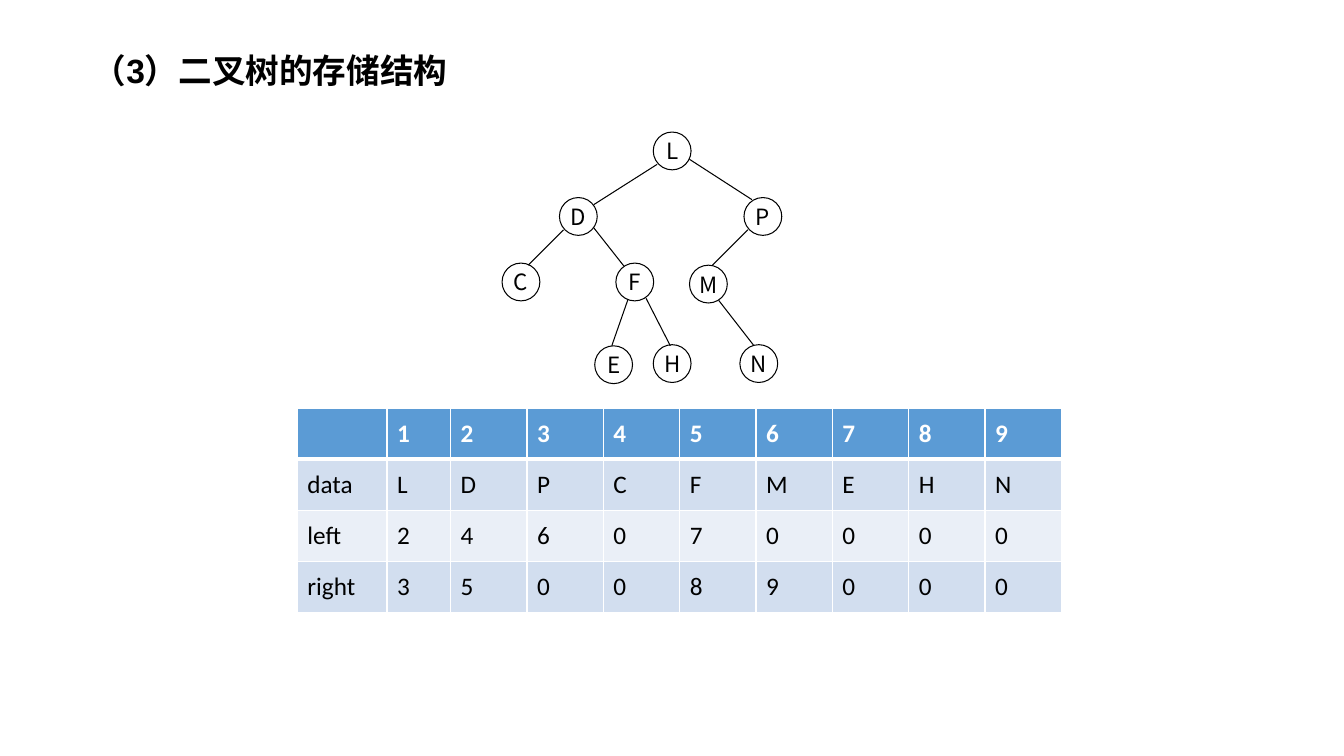
from dataclasses import dataclass

from lxml import etree
from pptx import Presentation
from pptx.dml.color import RGBColor
from pptx.enum.shapes import MSO_CONNECTOR, MSO_SHAPE
from pptx.enum.text import MSO_ANCHOR, MSO_AUTO_SIZE, PP_ALIGN
from pptx.oxml.ns import qn
from pptx.util import Pt

LEFT, CENTER = PP_ALIGN.LEFT, PP_ALIGN.CENTER
TOP, MIDDLE = MSO_ANCHOR.TOP, MSO_ANCHOR.MIDDLE
NO_AUTOFIT = MSO_AUTO_SIZE.NONE
ELLIPSE, STRAIGHT = MSO_SHAPE.OVAL, MSO_CONNECTOR.STRAIGHT
TITLE_ONLY = 5


@dataclass(frozen=True)
class Theme:
    ink: str = "000000"
    paper: str = "FFFFFF"
    header: str = "5B9BD5"
    bands: tuple = ("D2DEEF", "EAEFF7")
    title_font: str = "Arial"
    table_font: str = "Calibri"
    cjk_font: str = "Noto Sans CJK SC"
    title_size: float = 24
    node_size: float = 16
    table_size: float = 18
    line: float = 0.75
    border: float = 1
    header_rule: float = 3


THEME = Theme()

NODE_SIZE = 27
NODES = {
    "L": (466.6, 94.3),
    "D": (399.6, 141.1), "P": (531.4, 141.1),
    "C": (358.6, 187.9), "F": (439.9, 187.9), "M": (492.5, 189.4),
    "E": (424.8, 247), "H": (466.6, 246.2), "N": (528.5, 246.2),
}
# Each edge runs from the rim of the parent to the rim of the child.
EDGES = [
    (469.4, 117.4, 424.1, 146.2),
    (492.5, 113.8, 537.1, 142.6),
    (402.5, 164.2, 377.3, 189.4),
    (448.6, 213.8, 437, 247),
    (424.1, 162.7, 445.7, 190.1),
    (534.2, 164.2, 509, 189.4),
    (461.5, 213.1, 478.8, 247),
    (513.4, 214.6, 538.6, 247),
]

TABLE_LEFT, TABLE_TOP, ROW_HEIGHT = 212.4, 291.6, 36.5
COLUMN_WIDTHS = [64.1, 45.4] + [54.54] * 8
ROWS = [
    ["", *"123456789"],
    ["data", *"LDPCFMEHN"],
    ["left", *"246070000"],
    ["right", *"350089000"],
]


def rgb(color):
    return RGBColor.from_string(color)


def write(tf, text, font, size, color=THEME.ink, bold=False, align=LEFT):
    p = tf.paragraphs[0]
    p.alignment = align
    r = p.add_run()
    r.text = text
    r.font.name = font
    r.font.size = Pt(size)
    r.font.bold = bold
    r.font.color.rgb = rgb(color)
    ea = etree.SubElement(r.font._element, qn("a:ea"))
    ea.set("typeface", THEME.cjk_font)
    return p


def set_title(s, text):
    title = s.shapes.title
    title.left, title.top, title.width, title.height = Pt(59), Pt(35.3), Pt(828), Pt(42)
    tf = title.text_frame
    tf.auto_size = NO_AUTOFIT
    tf.vertical_anchor = TOP
    p = write(tf, text, THEME.title_font, THEME.title_size, bold=True)
    p.line_spacing = 0.9


def add_node(shapes, label, x, y):
    sp = shapes.add_shape(ELLIPSE, Pt(x), Pt(y), Pt(NODE_SIZE), Pt(NODE_SIZE))
    sp.shadow.inherit = False
    sp.fill.solid()
    sp.fill.fore_color.rgb = rgb(THEME.paper)
    sp.line.color.rgb = rgb(THEME.ink)
    sp.line.width = Pt(THEME.line)
    tf = sp.text_frame
    tf.margin_left = tf.margin_top = tf.margin_right = tf.margin_bottom = 0
    tf.vertical_anchor = MIDDLE
    write(tf, label, THEME.cjk_font, THEME.node_size, align=CENTER)


def add_edge(shapes, x1, y1, x2, y2):
    line = shapes.add_connector(STRAIGHT, Pt(x1), Pt(y1), Pt(x2), Pt(y2))
    line.line.color.rgb = rgb(THEME.ink)
    line.line.width = Pt(THEME.line)
    etree.SubElement(line._element.spPr, qn("a:effectLst"))


def add_tree(s):
    shapes = s.shapes.add_group_shape().shapes
    for label, (x, y) in NODES.items():
        add_node(shapes, label, x, y)
    for edge in EDGES:
        add_edge(shapes, *edge)


def set_border(cell, side, width):
    """Draw one side of a cell; call before filling it, as fills follow borders."""
    tc_pr = cell._tc.get_or_add_tcPr()
    ln = etree.SubElement(tc_pr, qn(f"a:ln{side}"), w=str(Pt(width)))
    fill = etree.SubElement(ln, qn("a:solidFill"))
    etree.SubElement(fill, qn("a:srgbClr"), val=THEME.paper)


def format_cell(cell, text, row):
    is_header = row == 0
    for side in "LRTB":
        thick = (is_header and side == "B") or (row == 1 and side == "T")
        set_border(cell, side, THEME.header_rule if thick else THEME.border)
    cell.fill.solid()
    cell.fill.fore_color.rgb = rgb(THEME.header if is_header else THEME.bands[(row - 1) % 2])
    cell.vertical_anchor = MIDDLE
    if text:
        write(cell.text_frame, text, THEME.table_font, THEME.table_size,
              color=THEME.paper if is_header else THEME.ink, bold=is_header)


def add_link_table(s):
    frame = s.shapes.add_table(len(ROWS), len(COLUMN_WIDTHS), Pt(TABLE_LEFT), Pt(TABLE_TOP),
                               Pt(sum(COLUMN_WIDTHS)), Pt(ROW_HEIGHT * len(ROWS)))
    table = frame.table
    for column, width in zip(table.columns, COLUMN_WIDTHS):
        column.width = Pt(width)
    for i, values in enumerate(ROWS):
        table.rows[i].height = Pt(ROW_HEIGHT)
        for j, text in enumerate(values):
            format_cell(table.cell(i, j), text, i)


def main():
    prs = Presentation()
    prs.slide_width, prs.slide_height = Pt(960), Pt(540)
    s = prs.slides.add_slide(prs.slide_layouts[TITLE_ONLY])
    set_title(s, "（3）二叉树的存储结构")
    add_tree(s)
    add_link_table(s)
    prs.save("out.pptx")


if __name__ == "__main__":
    main()
